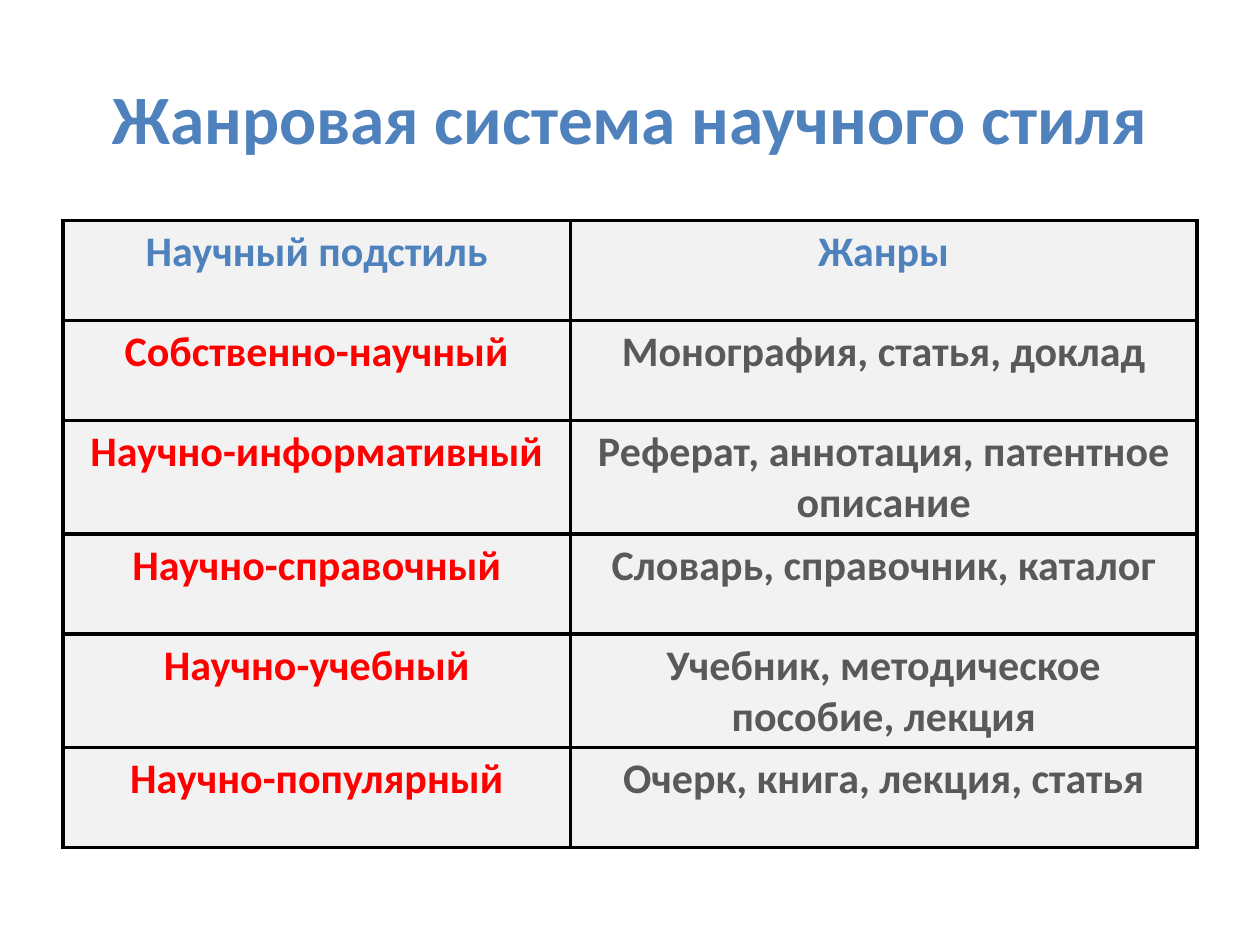
from lxml import etree
from pptx import Presentation
from pptx.dml.color import RGBColor
from pptx.enum.text import MSO_ANCHOR, PP_ALIGN
from pptx.oxml import parse_xml
from pptx.util import Pt

CENTER = PP_ALIGN.CENTER
MIDDLE = MSO_ANCHOR.MIDDLE
NS = "http://schemas.openxmlformats.org/drawingml/2006/main"
BLUE, RED, GREY = "4F81BD", "FF0000", "595959"


def rgb(value):
    return RGBColor.from_string(value)


def write(tf, text, size, color):
    p = tf.paragraphs[0]
    p.text = text
    p.alignment = CENTER
    p.font.name = "Calibri"
    p.font.size = Pt(size)
    p.font.bold = True
    p.font.color.rgb = rgb(color)


prs = Presentation()
prs.slide_width, prs.slide_height = Pt(720), Pt(540)
s = prs.slides.add_slide(prs.slide_layouts[6])

title = s.shapes.add_textbox(Pt(36), Pt(21.6), Pt(648), Pt(90))
tf = title.text_frame
tf.word_wrap = True
tf.vertical_anchor = MIDDLE
write(tf, "Жанровая система научного стиля", 39.6, BLUE)

rows = [
    ("Научный подстиль", "Жанры"),
    ("Собственно-научный", "Монография, статья, доклад"),
    ("Научно-информативный", "Реферат, аннотация, патентное описание"),
    ("Научно-справочный", "Словарь, справочник, каталог"),
    ("Научно-учебный", "Учебник, методическое пособие, лекция"),
    ("Научно-популярный", "Очерк, книга, лекция, статья"),
]
row_height = 57.15
table = s.shapes.add_table(
    len(rows), 2, Pt(36), Pt(126), Pt(648), Pt(row_height * len(rows))
).table
for column, width in zip(table.columns, (290, 358)):
    column.width = Pt(width)

for i, row in enumerate(rows):
    table.rows[i].height = Pt(row_height)
    colors = (RED, GREY) if i else (BLUE, BLUE)
    for j, text in enumerate(row):
        cell = table.cell(i, j)
        write(cell.text_frame, text, 24, colors[j])
        cell.fill.solid()
        cell.fill.fore_color.rgb = rgb("F2F2F2")
        tcPr = cell._tc.get_or_add_tcPr()
        for k, side in enumerate(("lnL", "lnR", "lnT", "lnB")):
            border = parse_xml(
                f'<a:{side} xmlns:a="{NS}" w="{Pt(2.25)}"><a:solidFill/></a:{side}>'
            )
            etree.SubElement(border[0], f"{{{NS}}}srgbClr", val="000000")
            tcPr.insert(k, border)

prs.save("out.pptx")
